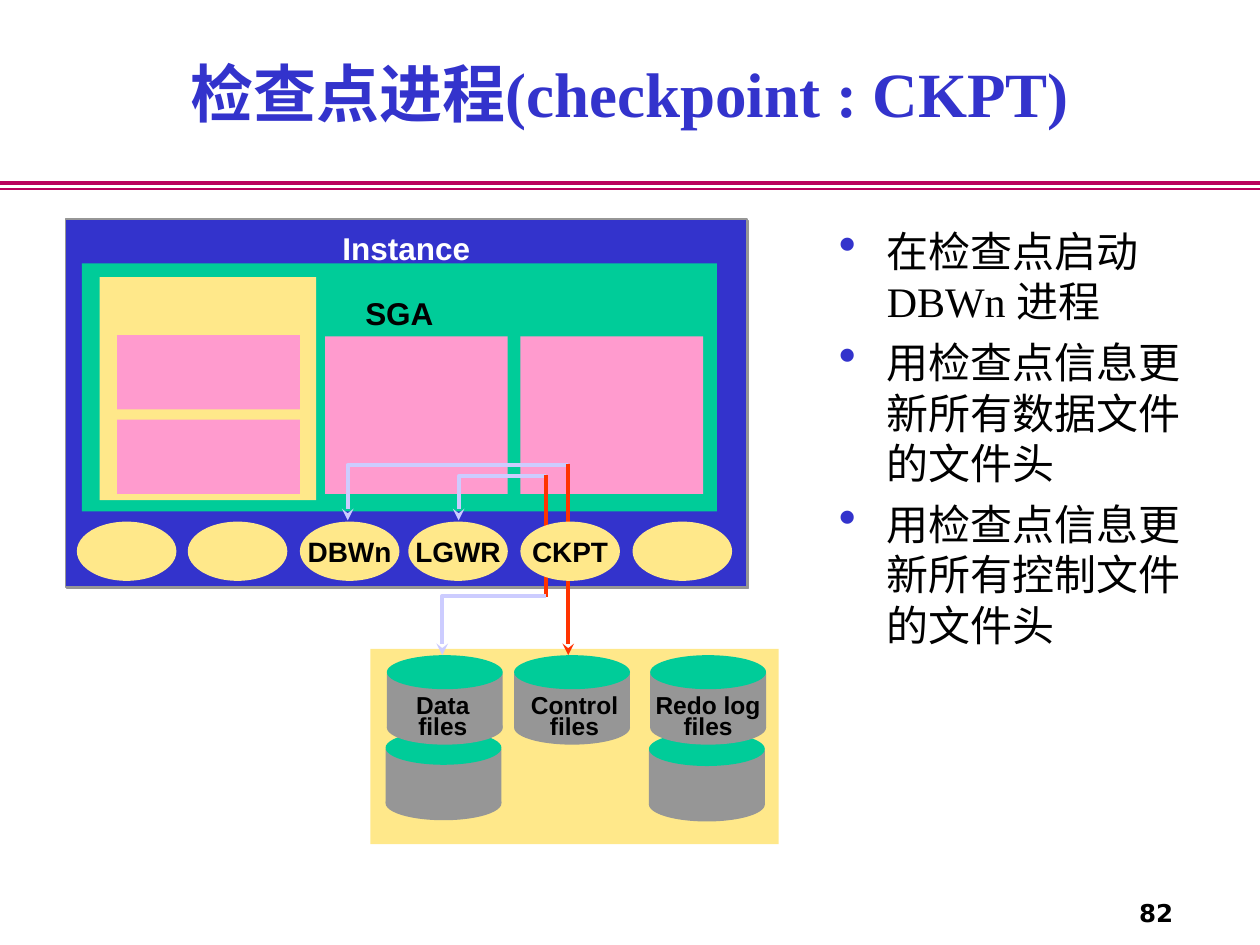
"""Build the CKPT slide on a grid of 100 columns by 75 rows."""
from typing import NamedTuple, Optional

from lxml import etree
from pptx import Presentation
from pptx import util as u
from pptx.dml.color import RGBColor
from pptx.enum import shapes, text
from pptx.oxml import ns

COLUMNS, ROWS = 100, 75
CELL = u.Inches(10) // COLUMNS

BLUE = RGBColor(0x33, 0x33, 0xCC)
GREEN = RGBColor(0x00, 0xCC, 0x99)
PINK = RGBColor(0xFF, 0x9B, 0xCE)
YELLOW = RGBColor(0xFF, 0xE8, 0x8A)
GRAY = RGBColor(0x96, 0x96, 0x96)
LILAC = RGBColor(0xCC, 0xCC, 0xFF)
RED = RGBColor(0xFF, 0x33, 0x00)
CRIMSON = RGBColor(0xBA, 0x00, 0x5D)
WHITE = RGBColor(0xFF, 0xFF, 0xFF)
BLACK = RGBColor(0x00, 0x00, 0x00)

RECT, OVAL = shapes.MSO_SHAPE.RECTANGLE, shapes.MSO_SHAPE.OVAL
SERIF, SANS, NUMBER_FONT = "Times New Roman", "Arial", "DejaVu Sans"


class Area(NamedTuple):
    col: float
    row: float
    cols: float
    rows: float


class Block(NamedTuple):
    area: Area
    fill: RGBColor
    border: Optional[RGBColor] = None
    label: str = ""
    label_color: RGBColor = BLACK
    label_drop: float = 0


class Process(NamedTuple):
    col: float
    name: str = ""


class Store(NamedTuple):
    col: float
    row: float
    label: Optional[Area] = None
    name: str = ""


class Route(NamedTuple):
    points: tuple
    color: RGBColor
    arrow: bool = True
    width: float = 2.25


INSTANCE = Area(5.2, 17.4, 54.1, 29.2)
MEMORY = [
    Block(INSTANCE._replace(col=5.3, row=17.5), BLUE, GRAY),
    Block(INSTANCE, BLUE, GRAY, "Instance", WHITE, 0.8),
    Block(Area(6.5, 20.9, 50.4, 19.7), GREEN, label="SGA", label_drop=2.4),
    *(Block(Area(col, 26.7, 14.5, 12.5), PINK) for col in (25.8, 41.3)),
    Block(Area(7.9, 22, 17.2, 17.7), YELLOW),
    *(Block(Area(9.3, row, 14.5, 5.9), PINK) for row in (26.6, 33.3)),
]
PROCESSES = [Process(6.1), Process(14.9), Process(23.8, "DBWn"),
             Process(32.4, "LGWR"), Process(50.2)]
CHECKPOINT = Process(41.3, "CKPT")
SIGNALS = [
    Route(((45.05, 36.9), (27.6, 36.9), (27.6, 41.3)), LILAC),
    Route(((45.1, 36.8), (45.1, 41.5)), RED, False),
    Route(((43.3, 37.8), (36.4, 37.8), (36.4, 41.3)), LILAC),
    Route(((43.35, 37.7), (43.35, 47.4)), RED, False),
]
FILE_AREA = Block(Area(29.4, 51.5, 32.4, 15.5), YELLOW)
STORES = [
    Store(51.5, 58.1),
    Store(30.6, 58),
    Store(40.8, 52, Area(40.2, 54.8, 10.8, 4.4), "Control files"),
    Store(30.7, 52, Area(30.8, 54.8, 8.7, 4.4), "Data files"),
    Store(51.6, 52, Area(50.5, 54.8, 11.4, 4.4), "Redo log files"),
]
WRITES = [
    Route(((45.1, 46.1), (45.1, 52)), RED),
    Route(((43.3, 47.3), (35.1, 47.3), (35.1, 52)), LILAC),
]
RULES = [Route(((0, row), (COLUMNS, row)), CRIMSON, False, width)
         for row, width in ((14.5, 2.25), (15, 1))]
POINTS = ["在检查点启动 DBWn 进程",
          "用检查点信息更新所有数据文件的文件头",
          "用检查点信息更新所有控制文件的文件头"]


def cells(*counts: float) -> list:
    return [u.Emu(round(count * CELL)) for count in counts]


def style(paragraph, size: float, face: str, color: RGBColor, bold: bool = True) -> None:
    font = paragraph.font
    font.size, font.name, font.bold = u.Pt(size), face, bold
    font.color.rgb = color


def write(frame, words: str, size: float, face: str = SANS, color: RGBColor = BLACK,
          align=text.PP_ALIGN.CENTER, wrap: bool = False) -> None:
    frame.word_wrap = wrap
    paragraph = frame.paragraphs[0]
    paragraph.text = words
    paragraph.alignment = align
    style(paragraph, size, face, color)


def draw_shape(parent, kind, area: Area, fill: RGBColor, border: Optional[RGBColor] = None):
    shape = parent.add_shape(kind, *cells(*area))
    shape.shadow.inherit = False
    shape.fill.solid()
    shape.fill.fore_color.rgb = fill
    if border is None:
        shape.line.fill.background()
    else:
        shape.line.color.rgb = border
        shape.line.width = u.Pt(1)
    return shape


def draw_block(parent, block: Block) -> None:
    shape = draw_shape(parent, RECT, block.area, block.fill, block.border)
    if block.label:
        frame = shape.text_frame
        frame.vertical_anchor = text.MSO_ANCHOR.TOP
        frame.margin_top, = cells(block.label_drop)
        write(frame, block.label, 18, color=block.label_color)


def draw_process(parent, process: Process) -> None:
    oval = draw_shape(parent, OVAL, Area(process.col, 41.4, 7.9, 4.7), YELLOW)
    if process.name:
        write(oval.text_frame, process.name, 16)


def draw_store(parent, store: Store) -> None:
    cylinder = parent.add_group_shape().shapes
    for kind, drop, rows, fill in ((RECT, 1.45, 4.3, GRAY), (OVAL, 0, 2.7, GREEN),
                                   (OVAL, 4.4, 2.7, GRAY)):
        draw_shape(cylinder, kind, Area(store.col, store.row + drop, 9.2, rows), fill)
    if store.label:
        frame = parent.add_textbox(*cells(*store.label)).text_frame
        frame.margin_left, frame.margin_right = cells(1.1, 1.1)
        frame.margin_top, frame.margin_bottom = cells(0.6, 0.6)
        write(frame, store.name, 14, wrap=True)
        frame.paragraphs[0].line_spacing = 0.7


def draw_route(parent, route: Route) -> None:
    points = [cells(*point) for point in route.points]
    if len(points) == 2:
        line = parent.add_connector(shapes.MSO_CONNECTOR.STRAIGHT, *points[0], *points[1])
    else:
        builder = parent.build_freeform(*points[0], scale=1.0)
        builder.add_line_segments(points[1:], close=False)
        line = builder.convert_to_shape()
        line.fill.background()
    line.line.color.rgb = route.color
    line.line.width = u.Pt(route.width)
    properties = line._element.spPr
    etree.SubElement(properties, ns.qn("a:effectLst"))
    if route.arrow:
        etree.SubElement(properties.find(ns.qn("a:ln")), ns.qn("a:tailEnd"), type="stealth")


def draw_points(parent) -> None:
    frame = parent.add_textbox(*cells(65.6, 17.4, 31.7, 52.6)).text_frame
    frame.word_wrap = True
    for index, words in enumerate(POINTS):
        paragraph = frame.add_paragraph() if index else frame.paragraphs[0]
        paragraph.text = words
        properties = paragraph._p.get_or_add_pPr()
        indent, = cells(3.8)
        properties.set("marL", str(indent))
        properties.set("indent", str(-indent))
        color = etree.SubElement(properties, ns.qn("a:buClr"))
        etree.SubElement(color, ns.qn("a:srgbClr"), val=str(BLUE))
        etree.SubElement(properties, ns.qn("a:buSzPct"), val="120000")
        etree.SubElement(properties, ns.qn("a:buChar"), char="•")
        if index:
            paragraph.space_before = u.Pt(6)
        style(paragraph, 24, SERIF, BLACK, False)


def main() -> None:
    deck = Presentation()
    deck.slide_width, deck.slide_height = cells(COLUMNS, ROWS)
    slide = deck.slides.add_slide(deck.slide_layouts[5])
    canvas = slide.shapes

    title = canvas.title
    title.left, title.top, title.width, title.height = cells(7.5, 3.8, 85, 8.5)
    title.text_frame.vertical_anchor = text.MSO_ANCHOR.TOP
    write(title.text_frame, "检查点进程(checkpoint : CKPT)", 36, SERIF, BLUE, wrap=True)

    for rule in RULES:
        draw_route(canvas, rule)
    draw_points(canvas)
    for block in MEMORY:
        draw_block(canvas, block)
    for process in PROCESSES:
        draw_process(canvas, process)
    for signal in SIGNALS:
        draw_route(canvas, signal)
    draw_process(canvas, CHECKPOINT)
    draw_block(canvas, FILE_AREA)
    for store in STORES:
        draw_store(canvas, store)
    for route in WRITES:
        draw_route(canvas, route)

    page_number = canvas.add_textbox(*cells(88.3, 70.8, 5.8, 3.3)).text_frame
    page_number.vertical_anchor = text.MSO_ANCHOR.MIDDLE
    write(page_number, "82", 14, NUMBER_FONT, align=text.PP_ALIGN.RIGHT, wrap=True)

    deck.save("out.pptx")


if __name__ == "__main__":
    main()
